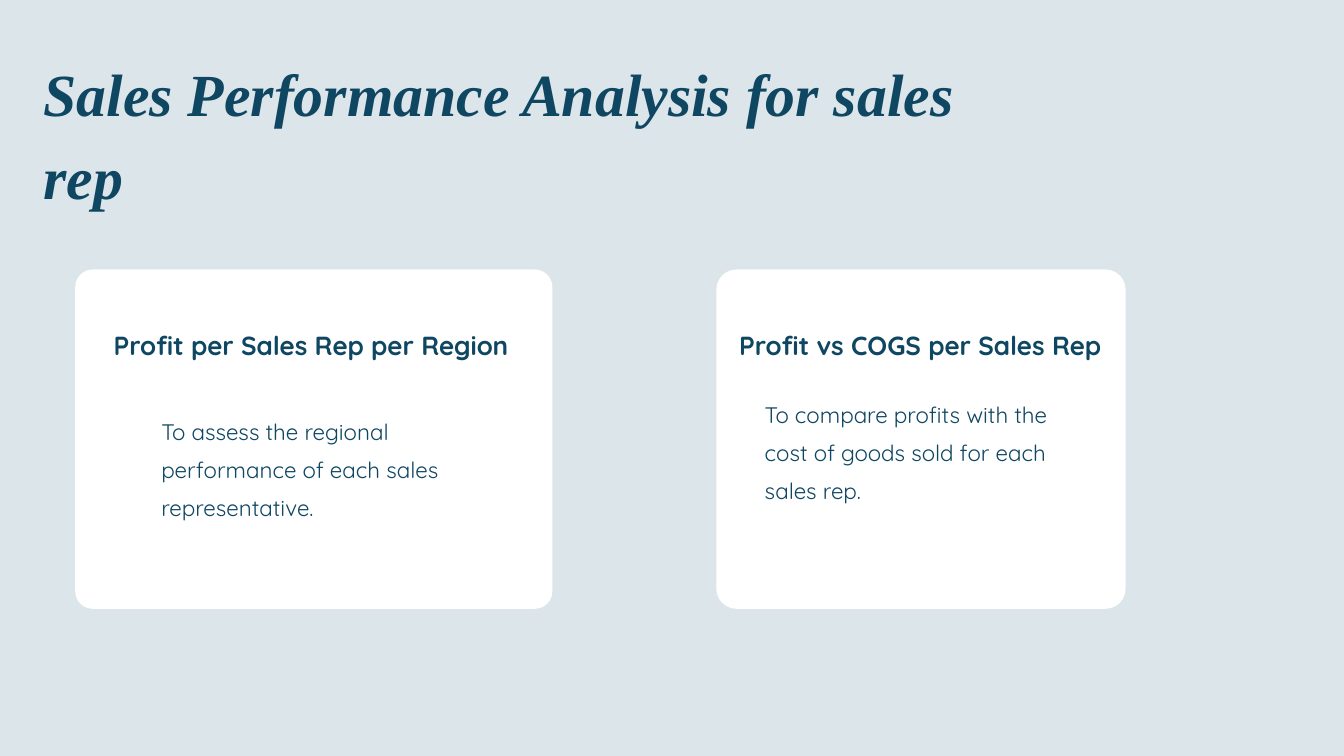
from pptx import Presentation
from pptx.dml.color import RGBColor
from pptx.enum.shapes import MSO_SHAPE
from pptx.enum.text import MSO_ANCHOR, MSO_AUTO_SIZE, PP_ALIGN
from pptx.util import Inches, Pt

NAVY = RGBColor(0x0F, 0x46, 0x62)
PALE = RGBColor(0xDB, 0xE5, 0xEA)
WHITE = RGBColor(0xFF, 0xFF, 0xFF)
SANS, SERIF = "Quicksand", "Times New Roman"


def write(sp, text, font, size, leading, bold=False, italic=False, top=0):
    """Fill a shape with one left-aligned paragraph, inset from the top."""
    tf = sp.text_frame
    tf.text = text
    tf.word_wrap = True
    tf.auto_size = MSO_AUTO_SIZE.NONE
    tf.vertical_anchor = MSO_ANCHOR.TOP
    tf.margin_left = tf.margin_right = tf.margin_bottom = 0
    tf.margin_top = Inches(top)
    p = tf.paragraphs[0]
    p.alignment = PP_ALIGN.LEFT
    p.line_spacing = Pt(leading)
    f = p.runs[0].font
    f.name, f.size, f.bold, f.italic = font, Pt(size), bold, italic
    f.color.rgb = NAVY


def add_title(slide, box, text):
    """Place the slide title in the given box."""
    sp = slide.shapes.title
    sp.left, sp.top, sp.width, sp.height = map(Inches, box)
    write(sp, text, SERIF, 64, 89.6, bold=True, italic=True)


def add_card(slide, box, radius, heading, heading_dx, body, body_dx, body_dy):
    """Draw a rounded card with its heading and description."""
    x, y, w, h = box
    card = slide.shapes.add_shape(MSO_SHAPE.ROUNDED_RECTANGLE, *map(Inches, box))
    card.adjustments[0] = radius / min(w, h)
    card.shadow.inherit = False
    card.fill.solid()
    card.fill.fore_color.rgb = WHITE
    card.line.fill.background()

    head_box = (x + heading_dx, y + 0.82, 5.97, 0.54)
    head = slide.shapes.add_textbox(*map(Inches, head_box))
    write(head, heading, SANS, 28, 39.2, bold=True)

    body_box = (x + body_dx, y + body_dy, 4.64, 2.78)
    desc = slide.shapes.add_textbox(*map(Inches, body_box))
    write(desc, body, SANS, 24, 40.8, top=0.57)


def main():
    """Build the slide and save it."""
    prs = Presentation()
    prs.slide_width, prs.slide_height = Inches(20), Inches(11.25)
    slide = prs.slides.add_slide(prs.slide_layouts[5])
    slide.background.fill.solid()
    slide.background.fill.fore_color.rgb = PALE

    add_title(slide, (0.65, 0.66, 14.12, 1.19),
              "Sales Performance Analysis for sales rep")
    add_card(slide, (1.12, 4.01, 7.1, 5.05), 0.26,
             "Profit per Sales Rep per Region", 0.57,
             "To assess the regional performance of each sales representative.",
             1.28, 1.48)
    add_card(slide, (10.66, 4.01, 6.09, 5.05), 0.3,
             "Profit vs COGS per Sales Rep", 0.34,
             "To compare profits with the cost of goods sold for each sales rep.",
             0.72, 1.22)
    prs.save("out.pptx")


if __name__ == "__main__":
    main()
